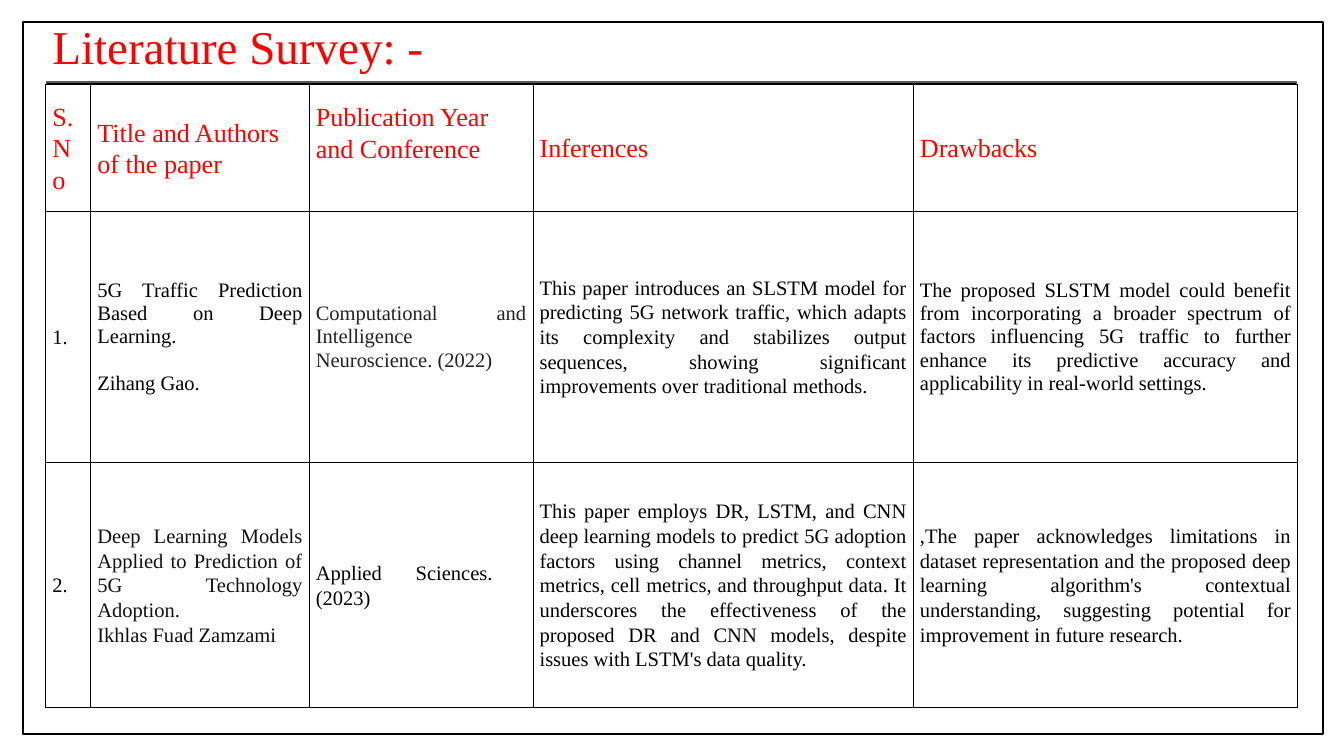
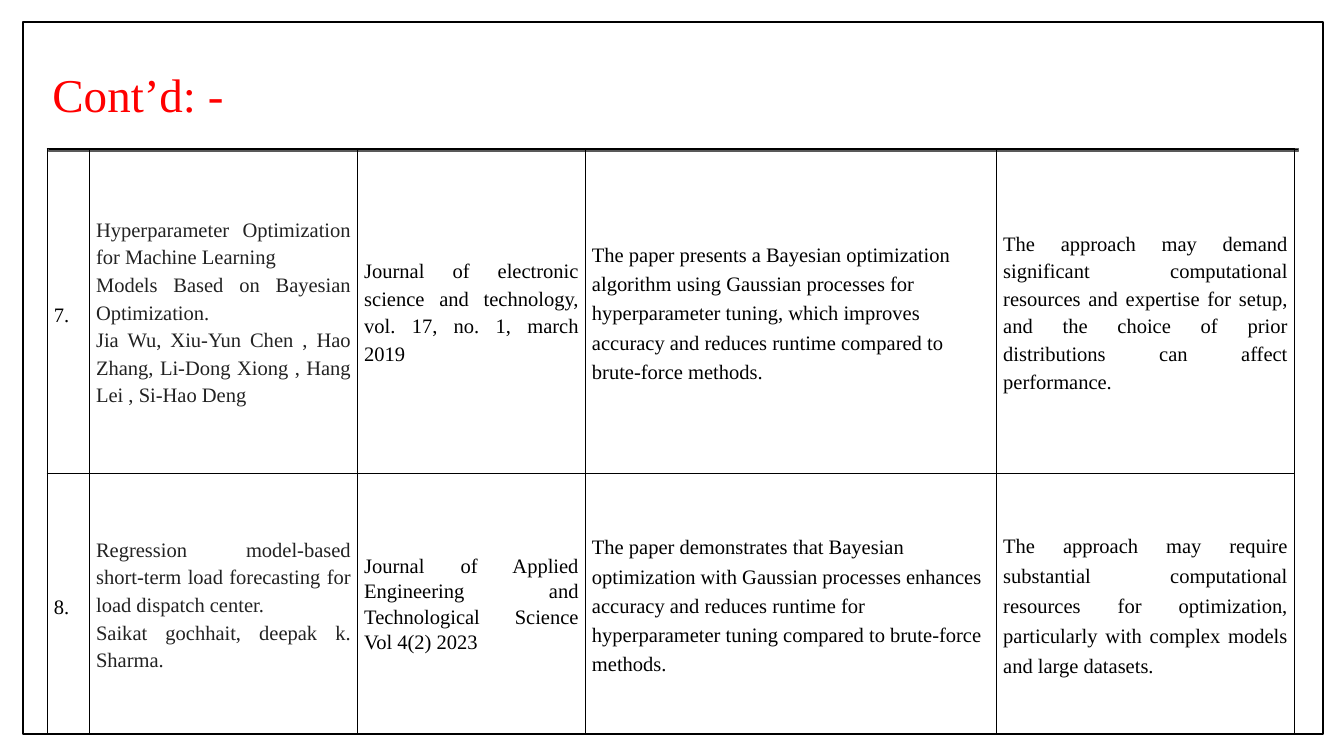
from dataclasses import dataclass

from lxml import etree
from pptx import Presentation
from pptx import util as u
from pptx.dml.color import RGBColor
from pptx.enum import shapes, text
from pptx.oxml import ns

RED = RGBColor(0xFF, 0x00, 0x00)
BLACK = RGBColor(0x00, 0x00, 0x00)
GREY = RGBColor(0x59, 0x59, 0x59)
DARK = RGBColor(0x22, 0x22, 0x22)
SOFT = RGBColor(0x11, 0x11, 0x11)
FONT = "Times New Roman"
LEFT, FULL = text.PP_ALIGN.LEFT, text.PP_ALIGN.JUSTIFY
PAD = 0.1


@dataclass(frozen=True)
class Cell:
    """One table cell: its paragraphs and how they are set."""
    lines: tuple[str, ...]
    lead: float
    ink: RGBColor = BLACK
    align: int = FULL
    size: float = 22
    gap: float = 0  # points between paragraphs
    right: float = PAD
    foot: float = PAD


@dataclass(frozen=True)
class Page:
    """One survey page: title, rule and table."""
    title: str
    top: float
    rule: tuple[float, float]
    spot: tuple[float, float]
    cols: tuple[float, ...]
    rows: tuple[float, ...]
    cells: tuple[tuple[Cell, ...], ...]


def head(words: str, foot: float = PAD) -> Cell:
    return Cell((words,), 33.6, RED, LEFT, 28, foot=foot)


def mark(words: str, lead: float) -> Cell:
    return Cell((words,), lead, align=LEFT)


def style(item: object, **values: object) -> None:
    for name, value in values.items():
        setattr(item, name, value)


def write(frame, cell: Cell) -> None:
    """Fill a text frame with formatted paragraphs."""
    for num, line in enumerate(cell.lines):
        para = frame.add_paragraph() if num else frame.paragraphs[0]
        para.text = line
        style(para, alignment=cell.align, line_spacing=u.Pt(cell.lead),
              space_before=u.Pt(cell.gap if num else 0))
        style(para.font, name=FONT, size=u.Pt(cell.size), bold=False)
        para.font.color.rgb = cell.ink


def edge(cell) -> None:
    """Give a table cell thin black borders."""
    props = cell._tc.get_or_add_tcPr()
    for num, side in enumerate(("lnL", "lnR", "lnT", "lnB")):
        line = etree.Element(ns.qn(f"a:{side}"), w=str(u.Pt(0.75)))
        fill = etree.SubElement(line, ns.qn("a:solidFill"))
        etree.SubElement(fill, ns.qn("a:srgbClr"), val=str(BLACK))
        props.insert(num, line)


def box(slide, left: float, top: float, wide: float, high: float,
        line: RGBColor, width: float, fill: RGBColor | None = None) -> None:
    shape = slide.shapes.add_shape(
        shapes.MSO_SHAPE.RECTANGLE, u.Inches(left), u.Inches(top),
        u.Inches(wide), u.Inches(high))
    shape.shadow.inherit = False
    shape.line.color.rgb = line
    shape.line.width = u.Pt(width)
    if fill is None:
        shape.fill.background()
    else:
        shape.fill.solid()
        shape.fill.fore_color.rgb = fill


def grid(slide, page: Page) -> None:
    left, top = page.spot
    table = slide.shapes.add_table(
        len(page.rows), len(page.cols), u.Inches(left), u.Inches(top),
        u.Inches(sum(page.cols)), u.Inches(sum(page.rows))).table
    style(table, first_row=False, horz_banding=False)
    for col, wide in zip(table.columns, page.cols):
        col.width = u.Inches(wide)
    for row, high, cells in zip(table.rows, page.rows, page.cells):
        row.height = u.Inches(high)
        for spot, cell in zip(row.cells, cells):
            style(spot, vertical_anchor=text.MSO_ANCHOR.MIDDLE,
                  margin_left=u.Inches(PAD), margin_top=u.Inches(PAD),
                  margin_right=u.Inches(cell.right),
                  margin_bottom=u.Inches(cell.foot))
            spot.fill.background()
            edge(spot)
            write(spot.text_frame, cell)


def draw(deck, page: Page) -> None:
    slide = deck.slides.add_slide(deck.slide_layouts[5])
    # Title
    title = slide.shapes.title
    style(title, left=u.Inches(0.78), top=u.Inches(page.top),
          width=u.Inches(18.44), height=u.Inches(1.16))
    frame = title.text_frame
    style(frame, margin_left=0, margin_top=0, margin_right=0,
          margin_bottom=0, word_wrap=True,
          vertical_anchor=text.MSO_ANCHOR.TOP,
          auto_size=text.MSO_AUTO_SIZE.NONE)
    write(frame, Cell((page.title,), 60.5, RED, LEFT, 50.4))
    # Rule, table and page frame
    box(slide, *page.rule, 18.6, 0.04, GREY, 1.5, BLACK)
    grid(slide, page)
    box(slide, 0.34, 0.33, 19.35, 10.59, BLACK, 2.75)


SURVEY = Page(
    "Literature Survey: -", 0.26, (0.69, 1.22), (0.68, 1.26),
    (0.67, 3.25, 3.33, 5.66, 5.72), (1.88, 3.74, 3.65),
    (
        (head("S.No"), head("Title and Authors of the paper"),
         head("Publication Year and Conference", 0.56),
         head("Inferences"), head("Drawbacks")),
        (mark("1.", 26.4),
         Cell(("5G Traffic Prediction Based on Deep Learning.",
               "Zihang Gao."), 25.1, gap=25.1),
         Cell(("Computational and Intelligence Neuroscience. (2022)",),
              25.1, DARK),
         Cell(("This paper introduces an SLSTM model for predicting 5G "
               "network traffic, which adapts its complexity and stabilizes "
               "output sequences, showing significant improvements over "
               "traditional methods.",), 26.4),
         Cell(("The proposed SLSTM model could benefit from incorporating a "
               "broader spectrum of factors influencing 5G traffic to "
               "further enhance its predictive accuracy and applicability "
               "in real-world settings.",), 25.1)),
        (mark("2.", 26.4),
         Cell(("Deep Learning Models Applied to Prediction of 5G Technology "
               "Adoption.", "Ikhlas Fuad Zamzami"), 26.4, SOFT),
         Cell(("Applied Sciences. (2023)",), 26.4, right=0.6),
         Cell(("This paper employs DR, LSTM, and CNN deep learning models to "
               "predict 5G adoption factors using channel metrics, context "
               "metrics, cell metrics, and throughput data. It underscores "
               "the effectiveness of the proposed DR and CNN models, despite "
               "issues with LSTM's data quality.",), 26.4),
         Cell((",The paper acknowledges limitations in dataset "
               "representation and the proposed deep learning algorithm's "
               "contextual understanding, suggesting potential for "
               "improvement in future research.",), 26.4)),
    ))

MORE = Page(
    "Cont’d: -", 0.97, (0.72, 2.21), (0.7, 2.21),
    (0.63, 3.99, 3.39, 6.12, 4.43), (4.83, 3.87),
    (
        (mark("7.", 33.6),
         Cell(("Hyperparameter Optimization for Machine Learning",
               "Models Based on Bayesian Optimization.",
               "Jia Wu, Xiu-Yun Chen , Hao Zhang, Li-Dong Xiong , Hang Lei , "
               "Si-Hao Deng"), 29.6, DARK),
         Cell(("Journal of electronic science and technology, vol. 17, "
               "no. 1, march 2019",), 29.6),
         Cell(("The paper presents a Bayesian optimization algorithm using "
               "Gaussian processes for hyperparameter tuning, which improves "
               "accuracy and reduces runtime compared to brute-force "
               "methods.",), 31.2, align=LEFT),
         Cell(("The approach may demand significant computational resources "
               "and expertise for setup, and the choice of prior "
               "distributions can affect performance.",), 29.6)),
        (mark("8.", 33.6),
         Cell(("Regression model-based\vshort-term load forecasting for load "
               "dispatch center.", "Saikat gochhait, deepak k. Sharma."),
              29.6, DARK),
         Cell(("Journal of Applied Engineering and Technological Science "
               "Vol 4(2) 2023",), 27.4),
         Cell(("The paper demonstrates that Bayesian optimization with "
               "Gaussian processes enhances accuracy and reduces runtime for "
               "hyperparameter tuning compared to brute-force methods.",),
              31.2, align=LEFT),
         Cell(("The approach may require substantial computational resources "
               "for optimization, particularly with complex models and large "
               "datasets.",), 31.9)),
    ))


def main() -> None:
    deck = Presentation()
    style(deck, slide_width=u.Inches(20), slide_height=u.Inches(11.25))
    for page in (SURVEY, MORE):
        draw(deck, page)
    deck.save("out.pptx")


if __name__ == "__main__":
    main()
